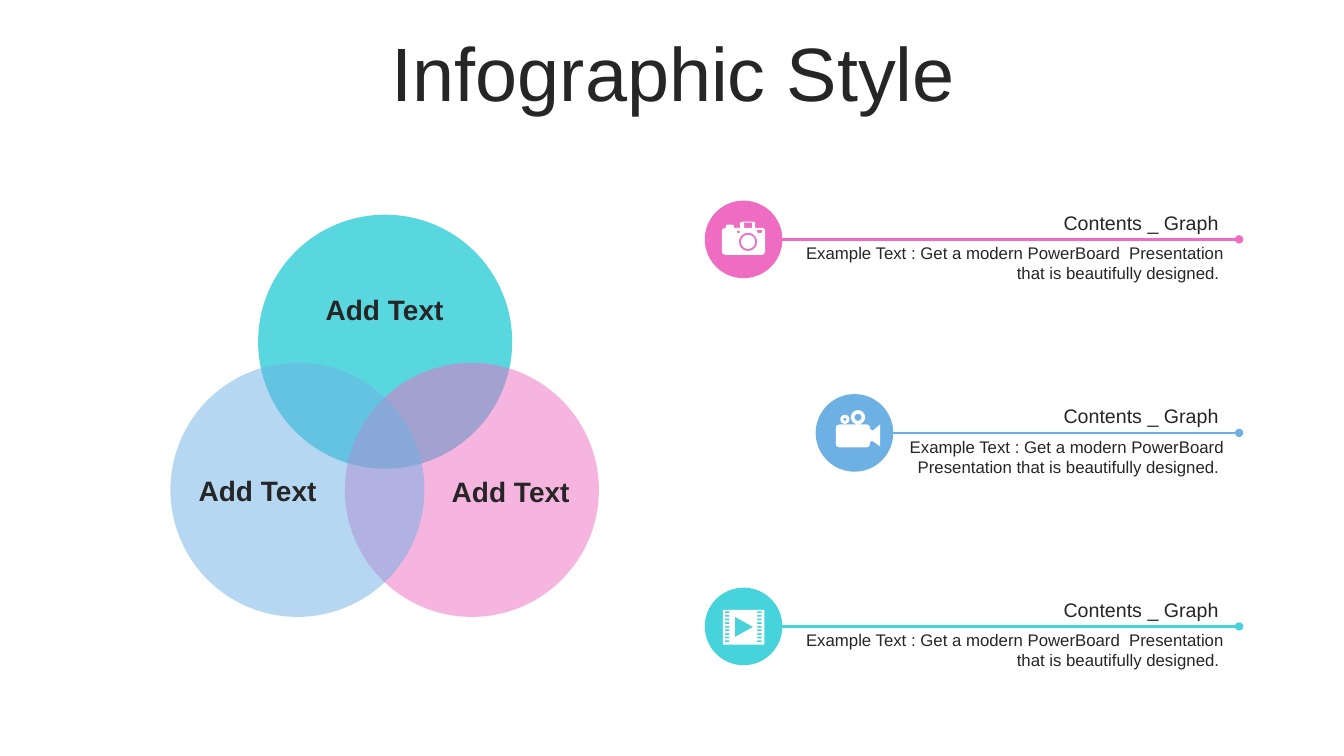
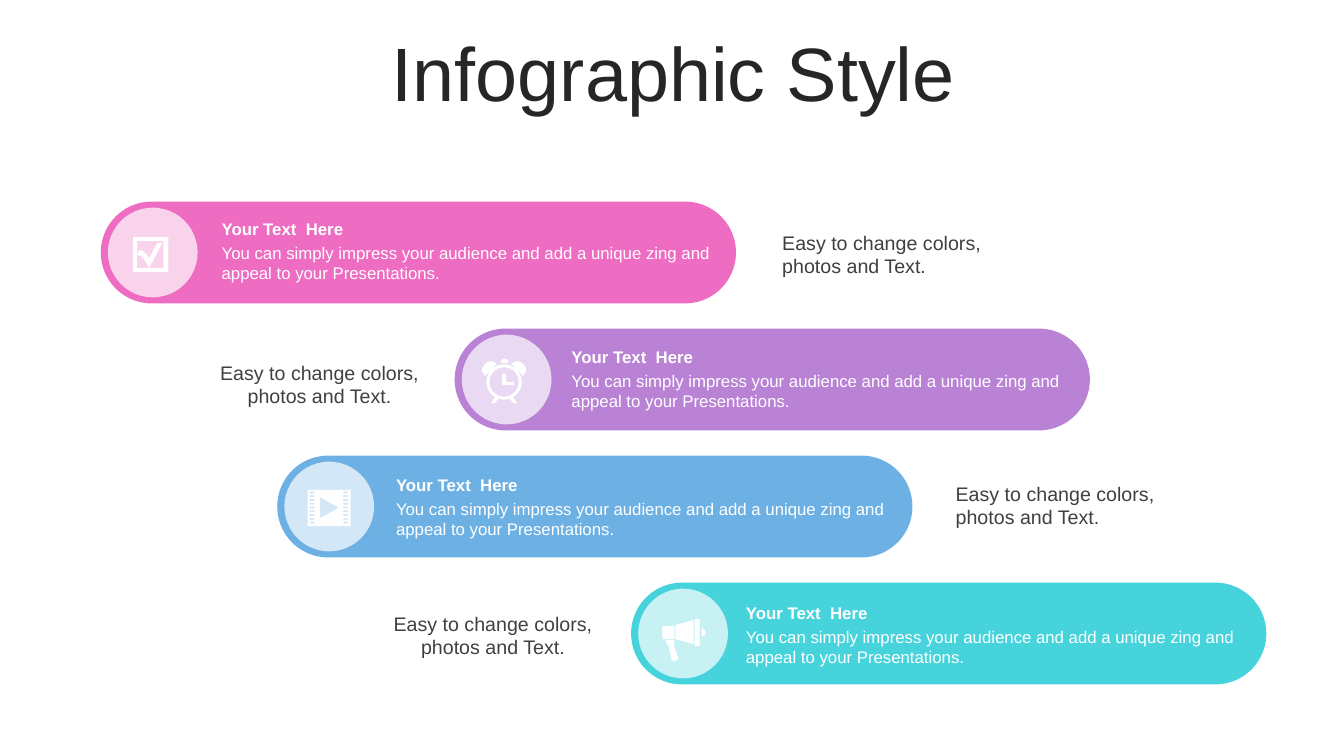
"""Build two infographic slides: a Venn diagram with callouts, and staggered banner bars."""
from math import cos, pi, sin

from lxml.etree import SubElement
from pptx import Presentation
from pptx.dml.color import RGBColor
from pptx.enum.shapes import MSO_CONNECTOR, MSO_SHAPE
from pptx.enum.text import MSO_ANCHOR, PP_ALIGN
from pptx.oxml.ns import qn
from pptx.util import Inches, Pt

COLORS = {
    "ink": "262626",
    "note": "404040",
    "white": "FFFFFF",
    "pink": "EE6CC1",
    "purple": "B982D5",
    "blue": "6DB0E4",
    "cyan": "47D3DC",
}
FONT = "Arial"


def text(s, box, words, size, color="ink", align=PP_ALIGN.LEFT, bold=False):
    tb = s.shapes.add_textbox(*map(Inches, box))
    tf = tb.text_frame
    tf.word_wrap = True
    tf.text = words
    p = tf.paragraphs[0]
    p.alignment = align
    font = p.runs[0].font
    font.name, font.size, font.bold = FONT, Pt(size), bold
    font.color.rgb = RGBColor.from_string(COLORS[color])
    return tf


def paint(sp, color, alpha=100):
    sp.shadow.inherit = False
    sp.line.fill.background()
    sp.fill.solid()
    sp.fill.fore_color.rgb = RGBColor.from_string(COLORS[color])
    if alpha < 100:
        clr = sp.fill._xPr.find(qn("a:solidFill"))[0]
        SubElement(clr, qn("a:alpha")).set("val", str(alpha * 1000))


prs = Presentation()
prs.slide_width, prs.slide_height = Inches(13.33), Inches(7.5)
slides = [prs.slides.add_slide(prs.slide_layouts[6]) for _ in range(2)]
for s in slides:
    tf = text(s, (0.35, 0.37, 12.66, 0.79), "Infographic Style", 54, align=PP_ALIGN.CENTER)
    tf.vertical_anchor = MSO_ANCHOR.MIDDLE
    tf.paragraphs[0].line_spacing = 0.9
venn, bars = slides

for left, top, color, alpha in [
    (2.56, 2.13, "cyan", 90),
    (3.42, 3.6, "pink", 50),
    (1.69, 3.6, "blue", 50),
]:
    sp = venn.shapes.add_shape(
        MSO_SHAPE.OVAL, Inches(left), Inches(top), Inches(2.52), Inches(2.52))
    paint(sp, color, alpha)
for left, top in [(1.69, 4.65), (4.2, 4.66), (2.95, 2.85)]:
    text(venn, (left, top, 1.73, 0.44), "Add Text", 20, align=PP_ALIGN.CENTER, bold=True)

example = "Example Text : Get a modern PowerBoard  Presentation that is beautifully designed. "
for i, (left, color) in enumerate([(6.99, "pink"), (8.09, "blue"), (6.99, "cyan")]):
    top = 1.99 + 1.92 * i
    sp = venn.shapes.add_shape(
        MSO_SHAPE.OVAL, Inches(left), Inches(top), Inches(0.77), Inches(0.77))
    paint(sp, color)
    y = Inches(top + 0.385)
    line = venn.shapes.add_connector(
        MSO_CONNECTOR.STRAIGHT, Inches(left + 0.77), y, Inches(12.29), y)
    line.line.color.rgb = RGBColor.from_string(COLORS[color])
    line.line.width = Pt(1.75)
    SubElement(line.line._get_or_add_ln(), qn("a:tailEnd")).set("type", "oval")
    SubElement(line._element.spPr, qn("a:effectLst"))
    text_left = left + 0.82
    width = 12.24 - text_left
    text(venn, (text_left, top + 0.37, width, 0.5), example, 12, align=PP_ALIGN.RIGHT)
    text(venn, (text_left, top + 0.05, width, 0.34), "Contents _ Graph ", 14,
         align=PP_ALIGN.RIGHT)

body = "You can simply impress your audience and add a unique zing and appeal to your Presentations."
note = "Easy to change colors, photos and Text."
for i, (left, text_left, color, note_box, align) in enumerate([
    (1, 2.1, "pink", (7.66, 2.24, 2.58, 0.57), PP_ALIGN.LEFT),
    (4.51, 5.57, "purple", (2.02, 3.53, 2.3, 0.57), PP_ALIGN.CENTER),
    (2.75, 3.83, "blue", (9.38, 4.73, 2.58, 0.57), PP_ALIGN.LEFT),
    (6.26, 7.3, "cyan", (3.74, 6.02, 2.3, 0.57), PP_ALIGN.CENTER),
]):
    top = 2 + 1.26 * i
    bar = bars.shapes.add_shape(
        MSO_SHAPE.ROUNDED_RECTANGLE, Inches(left), Inches(top), Inches(6.3), Inches(1.01))
    bar.adjustments[0] = 0.5
    paint(bar, color)
    disc = bars.shapes.add_shape(
        MSO_SHAPE.OVAL, Inches(left + 0.07), Inches(top + 0.06), Inches(0.89), Inches(0.89))
    paint(disc, "white", 70)
    text_top = 2.12 + 1.27 * i
    text(bars, (text_left, text_top + 0.24, 5.2, 0.5), body, 12, "white")
    text(bars, (text_left, text_top, 5.2, 0.3), "Your Text  Here", 12, "white", bold=True)
    text(bars, note_box, note, 14, "note", align)

# In each icon, 3 numbers are a circle, 4 a rectangle, and a list is a polygon.
film = [(0, 0, 0.41, 0.345), [(0.12, 0.07), (0.12, 0.27), (0.3, 0.17)]]
for row in range(9):
    y = 0.015 + 0.036 * row
    film += [(x, y, x + 0.045, y + 0.018) for x in (0.02, 0.34)]

camera = [
    [(0.04, 0.06), (0.04, 0.04), (0.05, 0.03), (0.11, 0.03), (0.12, 0.04), (0.12, 0.06),
     (0.18, 0.06), (0.18, 0.01), (0.2, 0), (0.32, 0), (0.33, 0.01), (0.33, 0.06),
     (0.4, 0.06), (0.42, 0.07), (0.43, 0.09), (0.43, 0.29), (0.42, 0.32), (0.4, 0.33),
     (0.04, 0.33), (0.01, 0.32), (0, 0.29), (0, 0.09), (0.01, 0.07)],
    (0.26, 0.2, 0.09), (0.26, 0.2, 0.07),
    (0.15, 0.09, 0.18, 0.11), (0.35, 0.08, 0.4, 0.11), (0.22, 0.01, 0.3, 0.06),
]

camcorder = [
    (0.09, 0.1, 0.045), (0.09, 0.1, 0.015), (0.22, 0.08, 0.07), (0.22, 0.08, 0.035),
    [(0.04, 0.15), (0.3, 0.15), (0.33, 0.16), (0.34, 0.18), (0.34, 0.2), (0.37, 0.21),
     (0.44, 0.15), (0.44, 0.37), (0.37, 0.32), (0.34, 0.32), (0.34, 0.34), (0.33, 0.37),
     (0.3, 0.38), (0.04, 0.38), (0.01, 0.37), (0, 0.34), (0, 0.18), (0.01, 0.16)],
]

check = [
    (0, 0, 0.35, 0.35), (0.04, 0.04, 0.3, 0.31),
    [(0.04, 0.18), (0.06, 0.13), (0.1, 0.14), (0.13, 0.17), (0.16, 0.21), (0.24, 0.06),
     (0.29, 0.06), (0.16, 0.31), (0.12, 0.24), (0.08, 0.19)],
]

clock = [
    (0.22, 0.23, 0.175), (0.22, 0.23, 0.145),
    [(0.2, 0.15), (0.24, 0.15), (0.24, 0.23), (0.32, 0.23), (0.32, 0.26), (0.2, 0.26)],
    [(0.19, 0.04), (0.19, 0.02), (0.21, 0), (0.24, 0), (0.26, 0.02), (0.26, 0.04)],
]
bell = [(0.15, 0.05), (0.12, 0.03), (0.09, 0.02), (0.06, 0.03), (0.03, 0.05),
        (0.01, 0.08), (0, 0.11), (0.01, 0.14), (0.03, 0.17)]
leg = [(0.13, 0.38), (0.09, 0.44), (0.13, 0.44), (0.16, 0.4)]
for part in (bell, leg):
    clock += [part, [(0.44 - x, y) for x, y in part]]

megaphone = [
    (0, 0.07, 0.12, 0.2), (0.32, 0, 0.37, 0.27),
    [(0.31, 0.01), (0.31, 0.25), (0.13, 0.2), (0.13, 0.06)],
    [(0.03, 0.21), (0.11, 0.21), (0.12, 0.23), (0.11, 0.25), (0.16, 0.4), (0.14, 0.41),
     (0.11, 0.42), (0.09, 0.4), (0.06, 0.26), (0.04, 0.25)],
    [(0.39, 0.09), (0.42, 0.11), (0.43, 0.13), (0.42, 0.16), (0.39, 0.18)],
]

for s, left, top, scale, icon in [
    (venn, 7.16, 2.2, 1, camera),
    (venn, 8.29, 4.06, 1, camcorder),
    (venn, 7.17, 6.05, 1, film),
    (bars, 1.32, 2.35, 1, check),
    (bars, 4.78, 3.56, 1, clock),
    (bars, 3.05, 4.86, 1.04, film),
    (bars, 6.57, 6.14, 1, megaphone),
]:
    fb = None
    for part in icon:
        if len(part) == 3 and isinstance(part, tuple):
            cx, cy, r = part
            turns = [2 * pi * k / 40 for k in range(40)]
            part = [(cx + r * cos(a), cy + r * sin(a)) for a in turns]
        elif isinstance(part, tuple):
            x1, y1, x2, y2 = part
            part = [(x1, y1), (x2, y1), (x2, y2), (x1, y2)]
        pts = [(Inches(left + x * scale), Inches(top + y * scale)) for x, y in part]
        if fb is None:
            fb = s.shapes.build_freeform(*pts[0], scale=1.0)
        else:
            fb.move_to(*pts[0])
        fb.add_line_segments(pts[1:], close=True)
    paint(fb.convert_to_shape(), "white")

prs.save("out.pptx")
